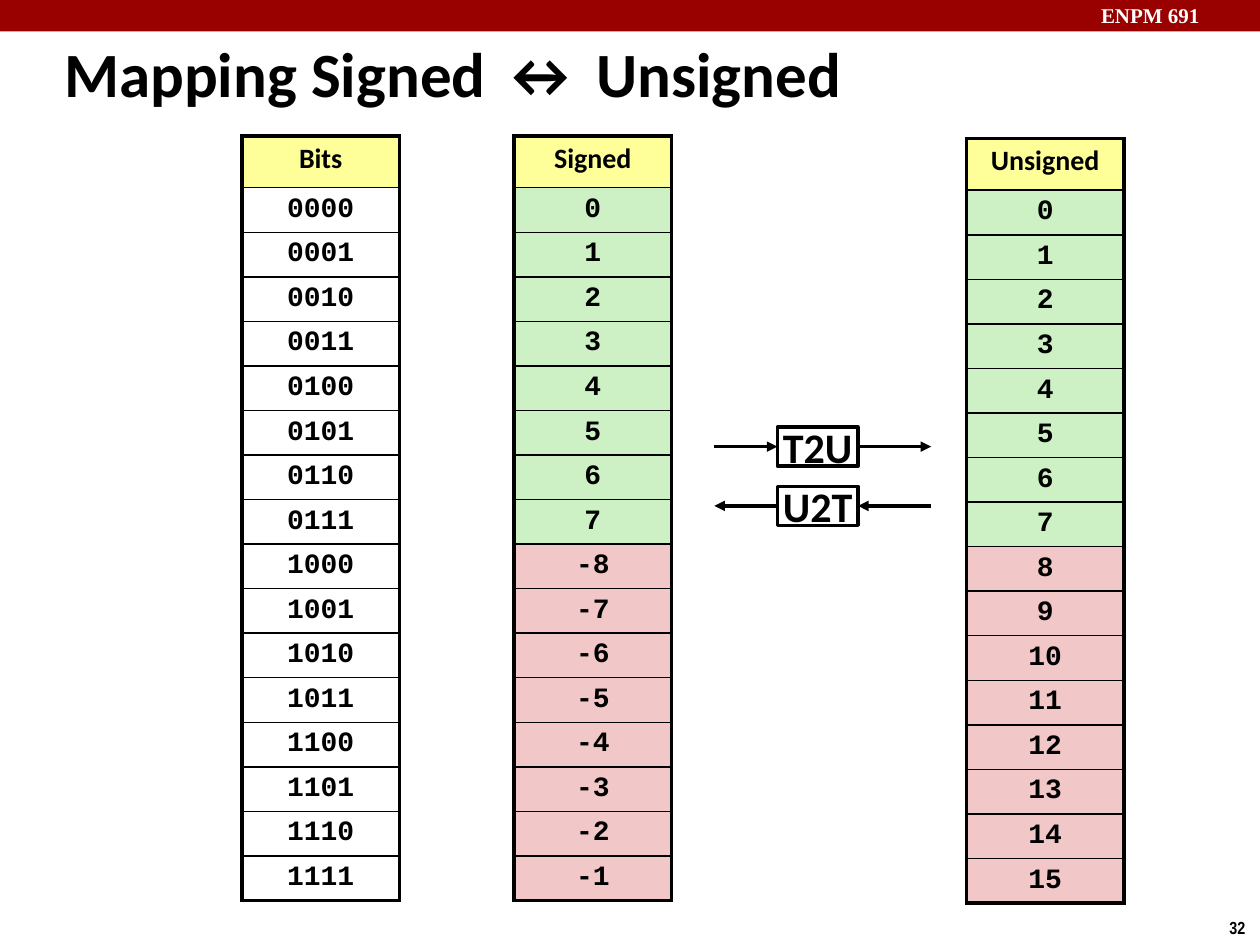
from pptx import Presentation
from pptx.dml.color import RGBColor
from pptx.enum import shapes, text
from pptx.oxml import parse_xml
from pptx.oxml.ns import nsdecls
from pptx.util import Inches, Pt

BLACK = RGBColor(0x00, 0x00, 0x00)
WHITE = RGBColor(0xFF, 0xFF, 0xFF)
RED = RGBColor(0x99, 0x00, 0x00)
YELLOW = RGBColor(0xFF, 0xFF, 0x99)
GREEN = RGBColor(0xCD, 0xF1, 0xC5)
PINK = RGBColor(0xF1, 0xC7, 0xC7)


def style(p, font, size, color=BLACK, align=text.PP_ALIGN.LEFT):
    p.alignment = align
    for r in p.runs:
        r.font.name = font
        r.font.size = Pt(size)
        r.font.bold = True
        r.font.color.rgb = color


def add_border(cell, side, width):
    cell._tc.get_or_add_tcPr().append(parse_xml(
        f'<a:ln{side} {nsdecls("a")} w="{Pt(width)}"><a:solidFill>'
        f'<a:srgbClr val="{BLACK}"/></a:solidFill></a:ln{side}>'))


prs = Presentation()
prs.slide_width, prs.slide_height = Inches(10), Inches(7.5)
s = prs.slides.add_slide(prs.slide_layouts[5])

# Top bar
bar = s.shapes.add_shape(shapes.MSO_SHAPE.RECTANGLE, 0, 0, Inches(10), Inches(0.25))
bar.shadow.inherit = False
bar.fill.solid()
bar.fill.fore_color.rgb = RED
bar.line.fill.background()

# Course name and page number
for label, left, top, width, height, font, size, color, wrap in [
    ("ENPM 691", 8.64, -0.03, 1.43, 0.3, "Times New Roman", 12, WHITE, True),
    ("32", 9.66, 7.23, 0.34, 0.27, "Arial Narrow", 10, BLACK, False),
]:
    sp = s.shapes.add_textbox(Inches(left), Inches(top), Inches(width), Inches(height))
    sp.text_frame.word_wrap = wrap
    sp.text_frame.text = label
    style(sp.text_frame.paragraphs[0], font, size, color)

# Title
title = s.shapes.title
title.left, title.top = Inches(0.44), Inches(0.27)
title.width, title.height = Inches(7.46), Inches(0.61)
tf = title.text_frame
tf.text = "Mapping Signed ↔ Unsigned"
tf.word_wrap = False
tf.auto_size = text.MSO_AUTO_SIZE.NONE
tf.vertical_anchor = text.MSO_ANCHOR.MIDDLE
tf.margin_left = tf.margin_right = Inches(0.07)
tf.margin_top = tf.margin_bottom = Inches(0.03)
style(tf.paragraphs[0], "Calibri", 36)

# Tables: one row for each 4-bit pattern
codes = range(16)
bits = [f"{n:04b}" for n in codes]
signed = [str(n if n < 8 else n - 16) for n in codes]
unsigned = [str(n) for n in codes]
table_height, header_height = 6.07, 0.41
row_height = (table_height - header_height) / len(codes)

for heading, values, left, top, colored in [
    ("Signed", signed, 4.08, 1.08, True),
    ("Unsigned", unsigned, 7.67, 1.1, True),
    ("Bits", bits, 1.92, 1.08, False),
]:
    table = s.shapes.add_table(len(values) + 1, 1, Inches(left), Inches(top),
                               Inches(1.25), Inches(table_height)).table
    table.first_row = table.horz_banding = False
    for i, value in enumerate([heading] + values):
        table.rows[i].height = Inches(row_height if i else header_height)
        cell = table.cell(i, 0)
        cell.margin_left = cell.margin_right = Inches(0.05)
        cell.margin_top = cell.margin_bottom = Inches(0.05)
        add_border(cell, "L", 2.25)
        add_border(cell, "R", 2.25)
        add_border(cell, "T", 1 if i else 2.25)
        add_border(cell, "B", 2.25 if i == len(values) else 1)
        if i and not colored:
            cell.fill.background()
        else:
            cell.fill.solid()
            cell.fill.fore_color.rgb = YELLOW if i == 0 else GREEN if i <= 8 else PINK
        p = cell.text_frame.paragraphs[0]
        p.text = value
        p.line_spacing = 0.95
        style(p, "Courier New" if i else "Calibri", 16, align=text.PP_ALIGN.CENTER)

# Conversion boxes, each with an arrow in and an arrow out
for label, top, rightward in [("U2T", 3.86, False), ("T2U", 3.39, True)]:
    box = s.shapes.add_shape(shapes.MSO_SHAPE.RECTANGLE, Inches(6.17), Inches(top),
                             Inches(0.64), Inches(0.31))
    box.shadow.inherit = False
    box.fill.solid()
    box.fill.fore_color.rgb = WHITE
    box.line.color.rgb = BLACK
    box.line.width = Pt(2)
    tf = box.text_frame
    tf.word_wrap = False
    tf.vertical_anchor = text.MSO_ANCHOR.MIDDLE
    tf.text = label
    style(tf.paragraphs[0], "Calibri", 24, align=text.PP_ALIGN.CENTER)

    y = box.top + box.height // 2
    for outer, edge, site in [(5.67, 6.17, 1), (7.39, 6.81, 3)]:
        arrow = s.shapes.add_connector(shapes.MSO_CONNECTOR.STRAIGHT,
                                       Inches(outer), y, Inches(edge), y)
        arrow.end_connect(box, site)
        arrow.line.color.rgb = BLACK
        arrow.line.width = Pt(2)
        inward = (site == 1) == rightward
        end = "tailEnd" if inward else "headEnd"
        arrow.line._get_or_add_ln().append(
            parse_xml(f'<a:{end} {nsdecls("a")} type="triangle"/>'))
        arrow._element.spPr.append(parse_xml(f'<a:effectLst {nsdecls("a")}/>'))

prs.save("out.pptx")
